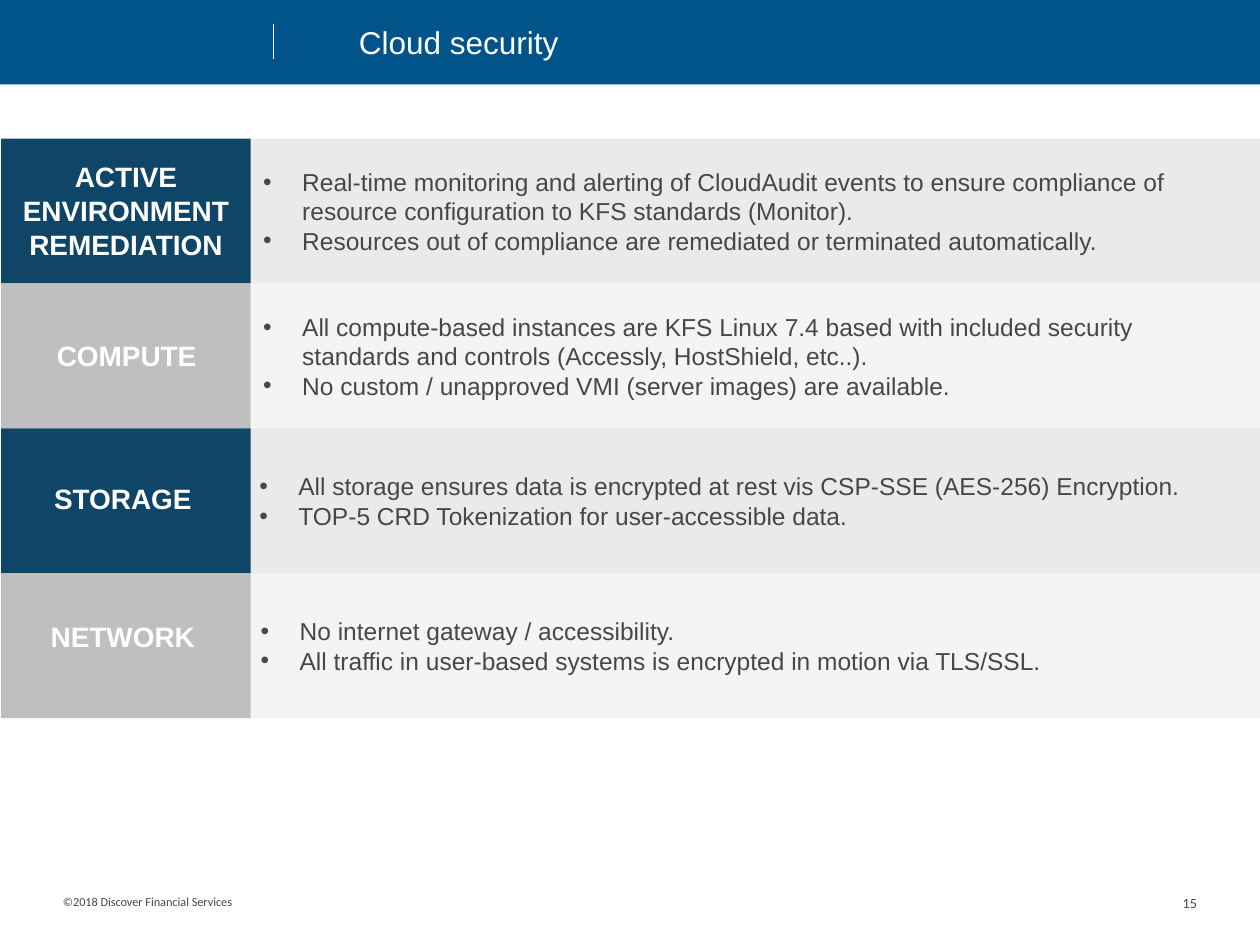
import pptx
import pptx.dml.color
import pptx.enum.shapes
import pptx.enum.text
import pptx.util
from lxml import etree
from pptx.oxml.ns import qn

WIDTH, HEIGHT = 10, 7.5
COLORS = {
    "header": "00548A", "white": "FFFFFF", "text": "474747",
    "navy": "0F4566", "silver": "BFBFBF", "gray": "96999B", "pale": "C8C8C7",
}
STYLES = [("navy", "gray"), ("silver", "pale")]
ROWS = [
    {"label": ["ACTIVE ENVIRONMENT", "REMEDIATION"], "label_box": (0.01, 1.22, 1.98, 0.86), "left": 1.99,
     "points": ["Real-time monitoring and alerting of CloudAudit events to ensure compliance of "
                "resource configuration to KFS standards (Monitor).",
                "Resources out of compliance are remediated or terminated automatically."]},
    {"label": ["COMPUTE"], "label_box": (0.03, 2.64, 1.95, 0.35), "left": 1.99,
     "points": ["All compute-based instances are KFS Linux 7.4 based with included security "
                "standards and controls (Accessly, HostShield, etc..).",
                "No custom / unapproved VMI (server images) are available."]},
    {"label": ["STORAGE"], "label_box": (0, 3.77, 1.95, 0.35), "left": 1.96,
     "points": ["All storage ensures data is encrypted at rest vis CSP-SSE (AES-256) Encryption.",
                "TOP-5 CRD Tokenization for user-accessible data."]},
    {"label": ["NETWORK"], "label_box": (0, 4.87, 1.95, 0.35), "left": 1.97,
     "points": ["No internet gateway / accessibility.",
                "All traffic in user-based systems is encrypted in motion via TLS/SSL."]},
]
GRID_TOP, ROW_HEIGHT = 1.1, 1.15
LABEL_LEFT, LABEL_WIDTH = 0.01, 1.98
BULLET_INDENT = 0.31

Inches, Pt = pptx.util.Inches, pptx.util.Pt
ALIGN = pptx.enum.text.PP_ALIGN
ANCHOR = pptx.enum.text.MSO_ANCHOR


def rgb(name):
    return pptx.dml.color.RGBColor.from_string(COLORS[name])


def add_rectangle(slide, box, color, alpha=None):
    shape = slide.shapes.add_shape(pptx.enum.shapes.MSO_SHAPE.RECTANGLE, *map(Inches, box))
    shape.shadow.inherit = False
    shape.line.fill.background()
    shape.fill.solid()
    shape.fill.fore_color.rgb = rgb(color)
    if alpha is not None:
        fill_color = shape.fill._xPr.find(qn("a:solidFill"))[0]
        etree.SubElement(fill_color, qn("a:alpha"), val=str(alpha * 1000))
    return shape


def add_textbox(slide, box):
    return slide.shapes.add_textbox(*map(Inches, box))


def write_text(shape, lines, size, color="text", font="Arial", bold=False,
               align=ALIGN.LEFT, anchor=ANCHOR.TOP, bullets=False, inset=None, wrap=True):
    frame = shape.text_frame
    frame.word_wrap = wrap
    frame.vertical_anchor = anchor
    if inset is not None:
        frame.margin_left = frame.margin_right = Inches(inset)
        frame.margin_top = frame.margin_bottom = Inches(inset)
    for index, line in enumerate(lines):
        paragraph = frame.add_paragraph() if index else frame.paragraphs[0]
        paragraph.alignment = align
        if bullets:
            properties = paragraph._p.get_or_add_pPr()
            properties.set("marL", str(Inches(BULLET_INDENT)))
            properties.set("indent", str(-Inches(BULLET_INDENT)))
            etree.SubElement(properties, qn("a:buFont"), typeface="Arial")
            etree.SubElement(properties, qn("a:buChar"), char="•")
        run = paragraph.add_run()
        run.text = line
        run.font.name = font
        run.font.size = Pt(size)
        run.font.bold = bold
        run.font.color.rgb = rgb(color)


def add_header(slide):
    add_rectangle(slide, (0, 0, WIDTH, 0.67), "header")
    divider = slide.shapes.add_connector(
        pptx.enum.shapes.MSO_CONNECTOR.STRAIGHT, *map(Inches, (2.17, 0.19, 2.17, 0.47)))
    divider.line.color.rgb = rgb("white")
    divider.line.width = Pt(0.5)
    etree.SubElement(divider._element.spPr, qn("a:effectLst"))
    write_text(add_textbox(slide, (2.75, 0.13, 1.8, 0.4)), ["Cloud security"], 18,
               color="white", wrap=False)


def add_row(slide, index, row):
    label_color, panel_color = STYLES[index % len(STYLES)]
    top = GRID_TOP + index * ROW_HEIGHT
    panel = add_rectangle(slide, (row["left"], top, WIDTH - row["left"], ROW_HEIGHT), panel_color, alpha=20)
    write_text(panel, row["points"], 14, anchor=ANCHOR.MIDDLE, bullets=True)
    add_rectangle(slide, (LABEL_LEFT, top, LABEL_WIDTH, ROW_HEIGHT), label_color)
    write_text(add_textbox(slide, row["label_box"]), row["label"], 16,
               color="white", bold=True, align=ALIGN.CENTER)


def add_footer(slide):
    for left, text, size, align in [
        (0.5, "©2018 Discover Financial Services", 7, ALIGN.LEFT),
        (7.5, "15", 8, ALIGN.RIGHT),
    ]:
        write_text(add_textbox(slide, (left, 7.1, 2, 0.4)), [text], size,
                   font="Calibri", align=align, inset=0)


def main():
    presentation = pptx.Presentation()
    presentation.slide_width, presentation.slide_height = Inches(WIDTH), Inches(HEIGHT)
    slide = presentation.slides.add_slide(presentation.slide_layouts[6])
    add_header(slide)
    for index, row in enumerate(ROWS):
        add_row(slide, index, row)
    add_footer(slide)
    presentation.save("out.pptx")


if __name__ == "__main__":
    main()
